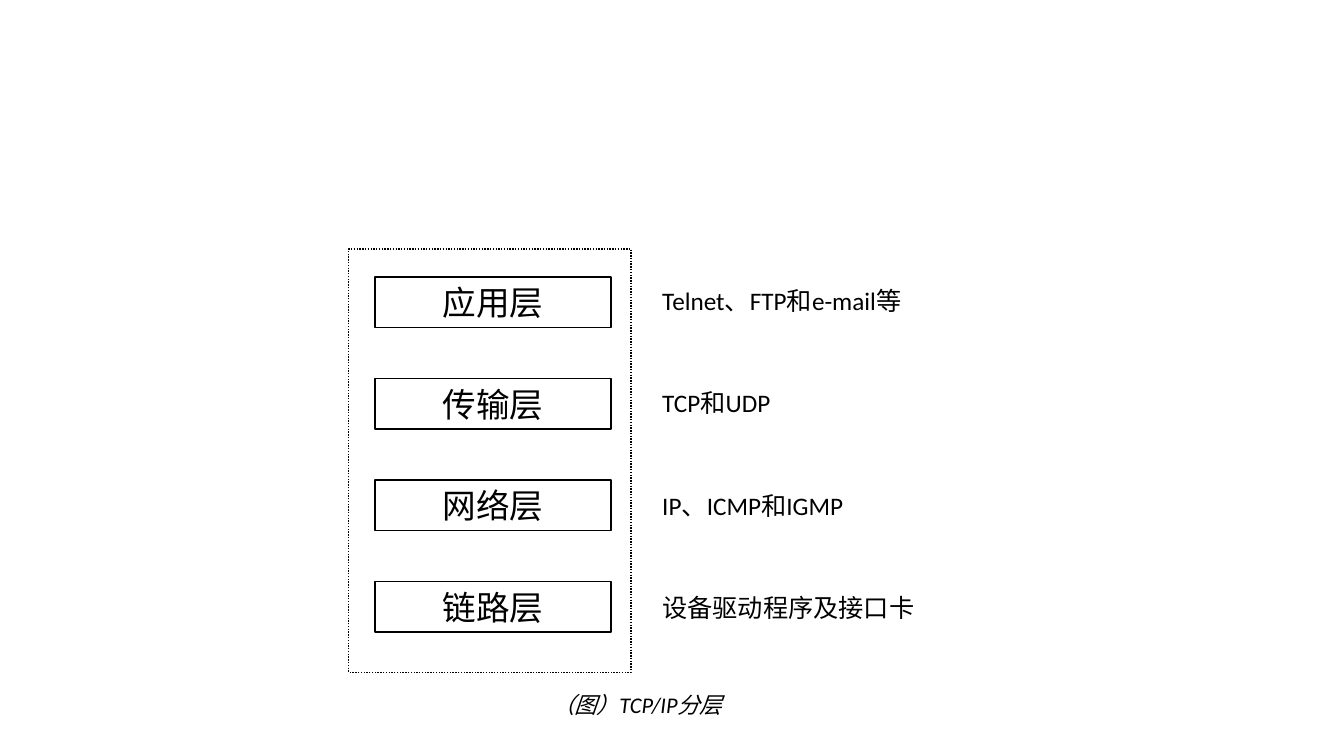
from dataclasses import dataclass

from pptx import Presentation
from pptx import util as u
from pptx.dml.color import RGBColor
from pptx.enum import dml, shapes, text

LAYERS = [
    ("应用层", "Telnet、FTP和e-mail等"),
    ("传输层", "TCP和UDP"),
    ("网络层", "IP、ICMP和IGMP"),
    ("链路层", "设备驱动程序及接口卡"),
]
CAPTION = "（图）TCP/IP分层"


@dataclass(frozen=True)
class Theme:
    ink: RGBColor = RGBColor(0, 0, 0)
    layer_font: str = "Arial"
    note_font: str = "Calibri"
    layer_size: int = 24
    note_size: int = 18
    caption_size: int = 16
    line_width: int = 1


THEME = Theme()

# Lengths in inches: left, top, width, height
SLIDE_SIZE = (13.33, 7.5)
FRAME = (3.46, 2.47, 2.8, 4.2)
FIRST_LAYER = (3.72, 2.75, 2.34, 0.5)
LAYER_PITCH = 1.007
FIRST_NOTE = (6.47, 2.78, 4.44, 0.4)
NOTE_PITCH = 1.017
CAPTION_BOX = (5.38, 6.81, 4.62, 0.37)


def inches(box):
    return [u.Inches(length) for length in box]


def row_box(first, pitch, row):
    left, top, width, height = first
    return left, top + row * pitch, width, height


def write(shape, content, font_name, size, italic=None):
    shape.text_frame.text = content
    font = shape.text_frame.paragraphs[0].runs[0].font
    font.name = font_name
    font.size = u.Pt(size)
    font.italic = italic
    font.color.rgb = THEME.ink


def add_outline(parent, box):
    shape = parent.shapes.add_shape(shapes.MSO_SHAPE.RECTANGLE, *inches(box))
    shape.shadow.inherit = False
    shape.fill.background()
    shape.line.color.rgb = THEME.ink
    shape.line.width = u.Pt(THEME.line_width)
    return shape


def add_layer(parent, box, name):
    shape = add_outline(parent, box)
    write(shape, name, THEME.layer_font, THEME.layer_size)
    shape.text_frame.vertical_anchor = text.MSO_ANCHOR.MIDDLE
    shape.text_frame.paragraphs[0].alignment = text.PP_ALIGN.CENTER


def add_note(parent, box, content, size, italic=None):
    shape = parent.shapes.add_textbox(*inches(box))
    shape.text_frame.word_wrap = True
    shape.text_frame.auto_size = text.MSO_AUTO_SIZE.SHAPE_TO_FIT_TEXT
    write(shape, content, THEME.note_font, size, italic)


def main():
    presentation = Presentation()
    presentation.slide_width, presentation.slide_height = inches(SLIDE_SIZE)
    slide = presentation.slides.add_slide(presentation.slide_layouts[6])

    stack = slide.shapes.add_group_shape()
    frame = add_outline(stack, FRAME)
    frame.line.dash_style = dml.MSO_LINE.ROUND_DOT
    for row, (name, _) in enumerate(LAYERS):
        add_layer(stack, row_box(FIRST_LAYER, LAYER_PITCH, row), name)
    for row, (_, protocols) in enumerate(LAYERS):
        add_note(stack, row_box(FIRST_NOTE, NOTE_PITCH, row), protocols, THEME.note_size)

    add_note(slide, CAPTION_BOX, CAPTION, THEME.caption_size, italic=True)
    presentation.save("out.pptx")


if __name__ == "__main__":
    main()
